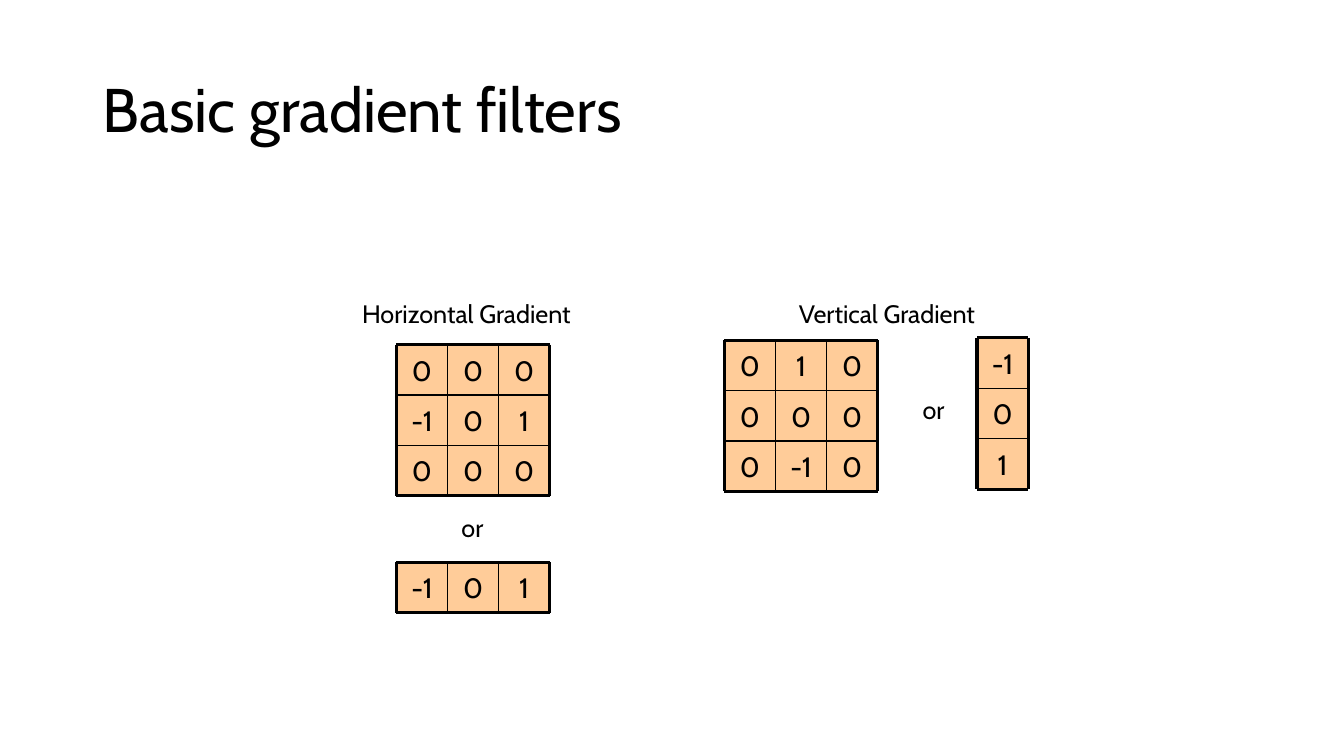
from lxml import etree
from pptx import Presentation
from pptx import util as u
from pptx.dml.color import RGBColor
from pptx.enum import shapes, text
from pptx.oxml.ns import qn

BLACK = RGBColor(0x00, 0x00, 0x00)
PEACH = RGBColor(0xFF, 0xCC, 0x99)
FONT = "Cabin"

prs = Presentation()
prs.slide_width, prs.slide_height = u.Inches(13.33), u.Inches(7.5)
W, H = prs.slide_width, prs.slide_height
CELL_W, CELL_H = int(W * 0.038), H // 15
slide = prs.slides.add_slide(prs.slide_layouts[5])


def write(tf, words, size, align):
    tf.text = words
    p = tf.paragraphs[0]
    p.alignment = align
    f = p.runs[0].font
    f.name, f.size, f.color.rgb = FONT, u.Pt(size), BLACK


def rule(grp, x1, y1, x2, y2, outer):
    line = grp.shapes.add_connector(shapes.MSO_CONNECTOR.STRAIGHT, x1, y1, x2, y2)
    line.line.color.rgb = BLACK
    line.line.width = u.Pt(2.25 if outer else 1)
    etree.SubElement(line._element.spPr, qn("a:effectLst"))


# Title
title = slide.shapes.title
title.left, title.top = int(W * 0.069), int(H * 0.053)
title.width, title.height = int(W * 0.863), int(H * 0.193)
tf = title.text_frame
tf.auto_size = text.MSO_AUTO_SIZE.NONE
tf.vertical_anchor = text.MSO_ANCHOR.MIDDLE
write(tf, "Basic gradient filters", 44, text.PP_ALIGN.LEFT)
tf.paragraphs[0].line_spacing = 0.9

# Filter kernels: left and top as shares of the slide, then the rows of values
kernels = [
    (0.295, 0.456, [[0, 0, 0], [-1, 0, 1], [0, 0, 0]]),
    (0.539, 0.45, [[0, 1, 0], [0, 0, 0], [0, -1, 0]]),
    (0.295, 0.744, [[-1, 0, 1]]),
    (0.727, 0.447, [[-1], [0], [1]]),
]
for x, y, values in kernels:
    left, top = int(W * x), int(H * y)
    rows, cols = len(values), len(values[0])
    right, bottom = left + cols * CELL_W, top + rows * CELL_H
    grp = slide.shapes.add_group_shape()

    # Cells
    for r, row in enumerate(values):
        for c, value in enumerate(row):
            sp = grp.shapes.add_shape(shapes.MSO_SHAPE.RECTANGLE, left + c * CELL_W,
                                      top + r * CELL_H, CELL_W, CELL_H)
            sp.shadow.inherit = False
            sp.fill.solid()
            sp.fill.fore_color.rgb = PEACH
            sp.line.fill.background()
            tf = sp.text_frame
            tf.margin_left = tf.margin_right = tf.margin_top = tf.margin_bottom = 0
            tf.vertical_anchor = text.MSO_ANCHOR.MIDDLE
            write(tf, str(value), 20, text.PP_ALIGN.CENTER)

    # Grid lines, heavier around the outside
    for r in range(rows + 1):
        rule(grp, left, top + r * CELL_H, right, top + r * CELL_H, r in (0, rows))
    for c in range(cols + 1):
        rule(grp, left + c * CELL_W, top, left + c * CELL_W, bottom, c in (0, cols))

# Labels: left, top and width as shares of the slide
labels = [
    ("or", 0.336, 0.671, 0.032),
    ("Horizontal Gradient", 0.262, 0.388, 0.179),
    ("Vertical Gradient", 0.587, 0.388, 0.152),
    ("or", 0.679, 0.515, 0.032),
]
for words, x, y, width in labels:
    sp = slide.shapes.add_textbox(int(W * x), int(H * y), int(W * width), int(H * 0.054))
    sp.text_frame.word_wrap = False
    sp.text_frame.auto_size = text.MSO_AUTO_SIZE.SHAPE_TO_FIT_TEXT
    write(sp.text_frame, words, 18, text.PP_ALIGN.LEFT)

prs.save("out.pptx")
